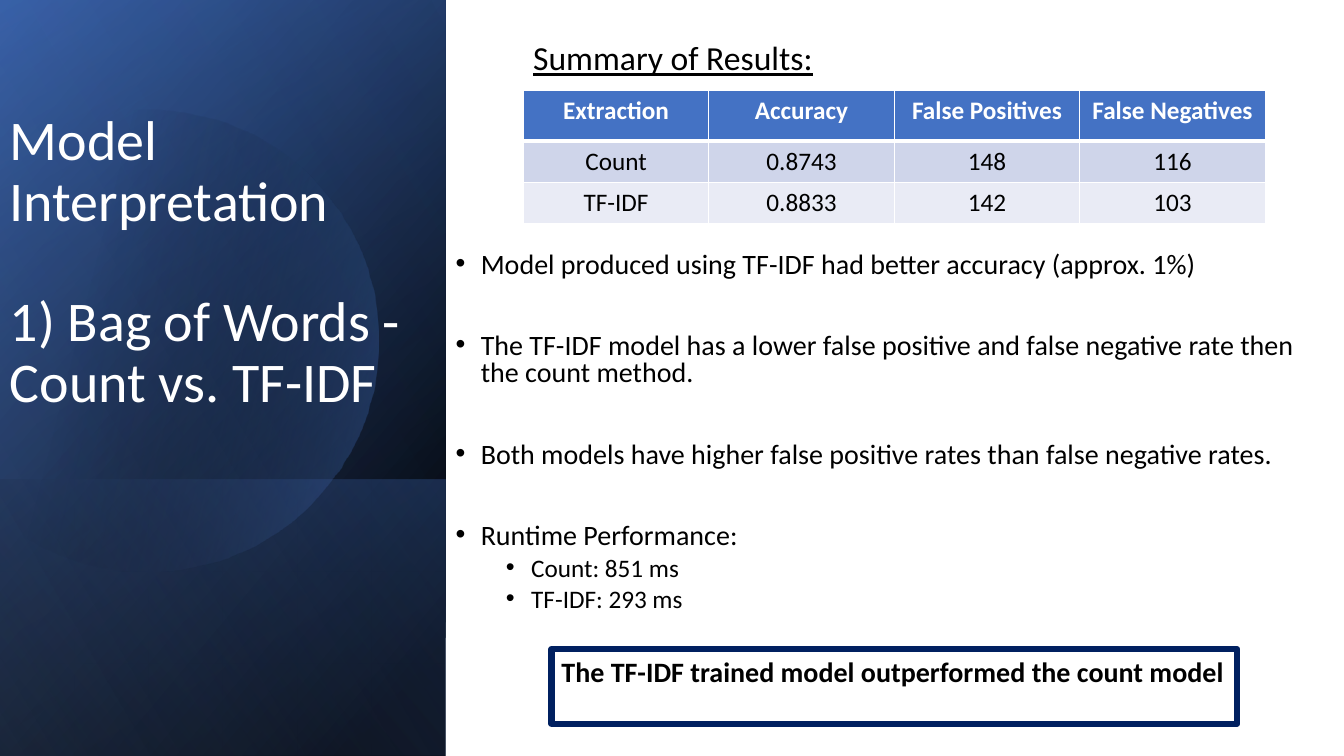
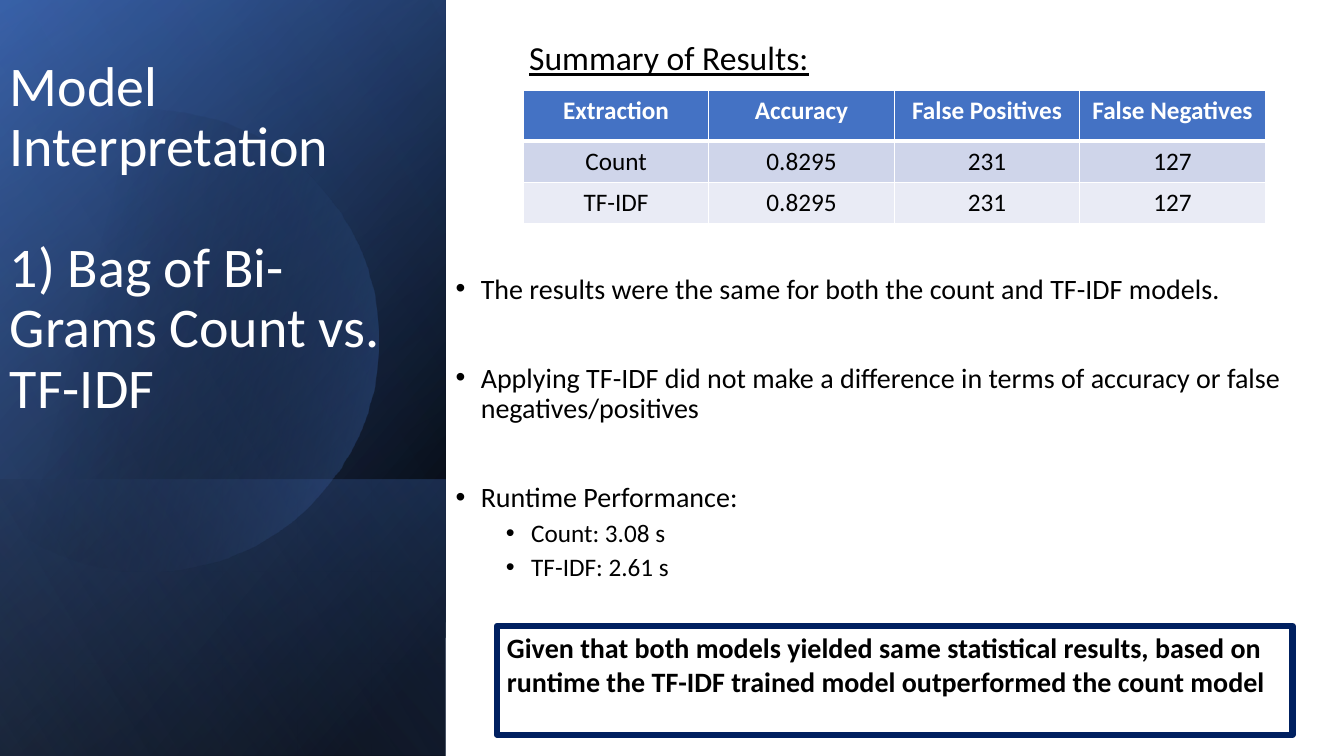
from dataclasses import dataclass
from math import acos, cos, pi, sin

from pptx import Presentation
from pptx.dml.color import RGBColor
from pptx.enum.shapes import MSO_SHAPE
from pptx.enum.text import MSO_ANCHOR, PP_ALIGN
from pptx.oxml import parse_xml
from pptx.oxml.ns import nsdecls
from pptx.util import Emu, Pt

EMU_PER_PX = 9144  # 100 px to the inch
SLIDE_W, SLIDE_H = 1333, 750
SIDEBAR_W = 442
FONT = "Calibri"

BLACK = RGBColor(0x00, 0x00, 0x00)
WHITE = RGBColor(0xFF, 0xFF, 0xFF)
BLUE = RGBColor(0x44, 0x72, 0xC4)
DEEP_BLUE = RGBColor(0x2F, 0x55, 0x97)
PALE_BLUE = RGBColor(0x8F, 0xAA, 0xDC)
NAVY = RGBColor(0x00, 0x20, 0x60)
ROW_FILLS = (BLUE, RGBColor(0xCF, 0xD5, 0xEA), RGBColor(0xE9, 0xEB, 0xF5))

TABLE_X, TABLE_Y, COLUMN_W = 519, 90, 184
ROW_HEIGHTS = (50, 41, 41)
TABLE_HEADER = ("Extraction", "Accuracy", "False Positives", "False Negatives")


@dataclass(frozen=True)
class Box:
    x: int
    y: int
    w: int
    h: int

    def emu(self) -> tuple[Emu, Emu, Emu, Emu]:
        return px(self.x), px(self.y), px(self.w), px(self.h)


@dataclass(frozen=True)
class Stop:
    position: int
    color: RGBColor
    opacity: int = 100


@dataclass(frozen=True)
class Gradient:
    angle: int
    stops: tuple[Stop, Stop]


@dataclass(frozen=True)
class Layer:
    top: int
    gradient: Gradient


@dataclass(frozen=True)
class Bullet:
    text: str
    level: int = 0


@dataclass(frozen=True)
class ResultSlide:
    title: tuple[str, str]
    title_box: Box
    heading_x: int
    rows: tuple[tuple[str, ...], ...]
    bullets: tuple[Bullet, ...]
    bullet_box: Box
    line_spacing: float
    bullet_gap: int
    conclusion: str
    conclusion_box: Box


LAYERS_BELOW_DISC = (
    Layer(0, Gradient(50, (Stop(8, BLACK), Stop(100, DEEP_BLUE)))),
    Layer(0, Gradient(30, (Stop(0, BLACK, 0), Stop(99, BLUE, 46)))),
    Layer(476, Gradient(130, (Stop(2, BLUE, 29), Stop(100, BLACK, 30)))),
)
DISC_GRADIENT = Gradient(14, (Stop(29, BLACK, 0), Stop(100, BLUE, 43)))
LAYER_ABOVE_DISC = Layer(0, Gradient(120, (Stop(0, BLACK, 0), Stop(99, PALE_BLUE, 11))))

RESULT_SLIDES = (
    ResultSlide(
        title=("Model Interpretation", "1) Bag of Words - Count vs. TF-IDF"),
        title_box=Box(0, 64, 436, 352),
        heading_x=519,
        rows=(("Count", "0.8743", "148", "116"), ("TF-IDF", "0.8833", "142", "103")),
        bullets=(
            Bullet("Model produced using TF-IDF had better accuracy (approx. 1%)"),
            Bullet("The TF-IDF model has a lower false positive and false negative "
                   "rate then the count method."),
            Bullet("Both models have higher false positive rates than false negative rates."),
            Bullet("Runtime Performance:"),
            Bullet("Count: 851 ms", 1),
            Bullet("TF-IDF: 293 ms", 1),
        ),
        bullet_box=Box(SIDEBAR_W, 237, 891, 385),
        line_spacing=0.8,
        bullet_gap=39,
        conclusion="The TF-IDF trained model outperformed the count model",
        conclusion_box=Box(547, 644, 680, 74),
    ),
    ResultSlide(
        title=("Model Interpretation", "1) Bag of Bi-Grams Count vs. TF-IDF"),
        title_box=Box(0, 52, 436, 370),
        heading_x=515,
        rows=(("Count", "0.8295", "231", "127"), ("TF-IDF", "0.8295", "231", "127")),
        bullets=(
            Bullet("The results were the same for both the count and TF-IDF models."),
            Bullet("Applying TF-IDF did not make a difference in terms of accuracy "
                   "or false negatives/positives"),
            Bullet("Runtime Performance:"),
            Bullet("Count: 3.08 s", 1),
            Bullet("TF-IDF: 2.61 s", 1),
        ),
        bullet_box=Box(SIDEBAR_W, 253, 891, 344),
        line_spacing=0.9,
        bullet_gap=42,
        conclusion="Given that both models yielded same statistical results, based on "
                   "runtime the TF-IDF trained model outperformed the count model",
        conclusion_box=Box(493, 621, 789, 108),
    ),
)


def px(length: int) -> Emu:
    return Emu(length * EMU_PER_PX)


def write(paragraph, text: str, *, size: int, color: RGBColor = BLACK, bold: bool = False,
          underline: bool = False, align: PP_ALIGN = PP_ALIGN.LEFT,
          line_spacing: float = 1.0, space_before: int = 0) -> None:
    paragraph.alignment = align
    paragraph.line_spacing = line_spacing
    paragraph.space_before = Pt(space_before)
    run = paragraph.add_run()
    run.text = text
    font = run.font
    font.name, font.size = FONT, Pt(size)
    font.bold, font.underline = bold, underline
    font.color.rgb = color


def next_paragraph(frame, index: int):
    """The frame's own paragraph first, then new ones."""
    return frame.add_paragraph() if index else frame.paragraphs[0]


def add_frame(slide, box: Box, anchor: MSO_ANCHOR = MSO_ANCHOR.TOP):
    frame = slide.shapes.add_textbox(*box.emu()).text_frame
    frame.word_wrap = True
    frame.vertical_anchor = anchor
    return frame


def paint_gradient(shape, gradient: Gradient) -> None:
    stops = "".join(
        f'<a:gs pos="{stop.position * 1000}"><a:srgbClr val="{stop.color}">'
        f'<a:alpha val="{stop.opacity * 1000}"/></a:srgbClr></a:gs>'
        for stop in gradient.stops)
    fill = parse_xml(
        f'<a:gradFill {nsdecls("a")} rotWithShape="1"><a:gsLst>{stops}</a:gsLst>'
        f'<a:lin ang="{gradient.angle * 60000}" scaled="0"/></a:gradFill>')
    shape.shadow.inherit = False
    shape.line.fill.background()
    shape.fill.background()
    properties = shape._element.spPr
    properties.replace(properties.find("{*}noFill"), fill)


def add_layer(slide, layer: Layer) -> None:
    """Fill the sidebar from layer.top down with a mirrored, quarter-turned rectangle."""
    height = SLIDE_H - layer.top
    shift = (SIDEBAR_W - height) // 2
    turned = Box(shift, layer.top - shift, height, SIDEBAR_W)
    shape = slide.shapes.add_shape(MSO_SHAPE.RECTANGLE, *turned.emu())
    shape.rotation = 90
    shape._element.spPr.xfrm.set("flipH", "1")
    paint_gradient(shape, layer.gradient)


def add_disc(slide) -> None:
    """A disc cut off by a vertical line just left of the slide."""
    center_x, center_y, radius, cut_x, steps = 146, 338, 229, -15, 120
    end = acos((cut_x - center_x) / radius)
    angles = [end * (2 * step / steps - 1) for step in range(steps + 1)]
    points = [(center_x + radius * cos(a), center_y + radius * sin(a)) for a in angles]
    builder = slide.shapes.build_freeform(*points[0], scale=EMU_PER_PX)
    builder.add_line_segments(points[1:], close=True)
    paint_gradient(builder.convert_to_shape(), DISC_GRADIENT)


def add_sidebar(slide) -> None:
    for layer in LAYERS_BELOW_DISC:
        add_layer(slide, layer)
    add_disc(slide)
    add_layer(slide, LAYER_ABOVE_DISC)


def add_title(slide, content: ResultSlide) -> None:
    frame = add_frame(slide, content.title_box, MSO_ANCHOR.BOTTOM)
    for index, part in enumerate(content.title):
        write(next_paragraph(frame, index), part, size=40, color=WHITE,
              line_spacing=0.9, space_before=43 * index)


def add_bullets(slide, content: ResultSlide) -> None:
    frame = add_frame(slide, content.bullet_box, MSO_ANCHOR.MIDDLE)
    for index, bullet in enumerate(content.bullets):
        paragraph = next_paragraph(frame, index)
        gap = 5 if bullet.level else content.bullet_gap
        write(paragraph, bullet.text, size=20 - 2 * bullet.level,
              line_spacing=content.line_spacing, space_before=gap if index else 0)
        paragraph.level = bullet.level
        properties = paragraph._p.get_or_add_pPr()
        properties.set("marL", str(px(25 + 50 * bullet.level)))
        properties.set("indent", str(px(-25)))
        properties.append(parse_xml(f'<a:buFont {nsdecls("a")} typeface="Arial"/>'))
        properties.append(parse_xml(f'<a:buChar {nsdecls("a")} char="•"/>'))


def set_cell_borders(cell, top: int, bottom: int) -> None:
    properties = cell._tc.get_or_add_tcPr()
    for index, (side, width) in enumerate((("L", 1), ("R", 1), ("T", top), ("B", bottom))):
        properties.insert(index, parse_xml(
            f'<a:ln{side} {nsdecls("a")} w="{Pt(width)}"><a:solidFill>'
            f'<a:srgbClr val="{WHITE}"/></a:solidFill></a:ln{side}>'))


def add_results_table(slide, rows: tuple[tuple[str, ...], ...]) -> None:
    grid = (TABLE_HEADER, *rows)
    box = Box(TABLE_X, TABLE_Y, COLUMN_W * len(TABLE_HEADER), sum(ROW_HEIGHTS))
    table = slide.shapes.add_table(len(grid), len(TABLE_HEADER), *box.emu()).table
    for column in table.columns:
        column.width = px(COLUMN_W)
    for r, (values, height, fill) in enumerate(zip(grid, ROW_HEIGHTS, ROW_FILLS)):
        table.rows[r].height = px(height)
        is_header = r == 0
        for c, value in enumerate(values):
            cell = table.cell(r, c)
            cell.fill.solid()
            cell.fill.fore_color.rgb = fill
            set_cell_borders(cell, top=3 if r == 1 else 1, bottom=3 if is_header else 1)
            write(cell.text_frame.paragraphs[0], value, size=18, bold=is_header,
                  color=WHITE if is_header else BLACK, align=PP_ALIGN.CENTER)


def add_conclusion(slide, content: ResultSlide) -> None:
    callout = slide.shapes.add_shape(MSO_SHAPE.RECTANGLE, *content.conclusion_box.emu())
    callout.shadow.inherit = False
    callout.fill.background()
    callout.line.color.rgb = NAVY
    callout.line.width = Pt(4.5)
    frame = callout.text_frame
    frame.word_wrap = True
    frame.vertical_anchor = MSO_ANCHOR.TOP
    write(frame.paragraphs[0], content.conclusion, size=20, bold=True)


def add_result_slide(presentation, content: ResultSlide) -> None:
    slide = presentation.slides.add_slide(presentation.slide_layouts[6])
    slide.background.fill.solid()
    slide.background.fill.fore_color.rgb = WHITE
    add_sidebar(slide)
    add_title(slide, content)
    add_bullets(slide, content)
    add_results_table(slide, content.rows)
    heading = add_frame(slide, Box(content.heading_x, 32, 580, 50))
    write(heading.paragraphs[0], "Summary of Results:", size=24, underline=True)
    add_conclusion(slide, content)


def main() -> None:
    presentation = Presentation()
    presentation.slide_width, presentation.slide_height = px(SLIDE_W), px(SLIDE_H)
    for content in RESULT_SLIDES:
        add_result_slide(presentation, content)
    presentation.save("out.pptx")


if __name__ == "__main__":
    main()
